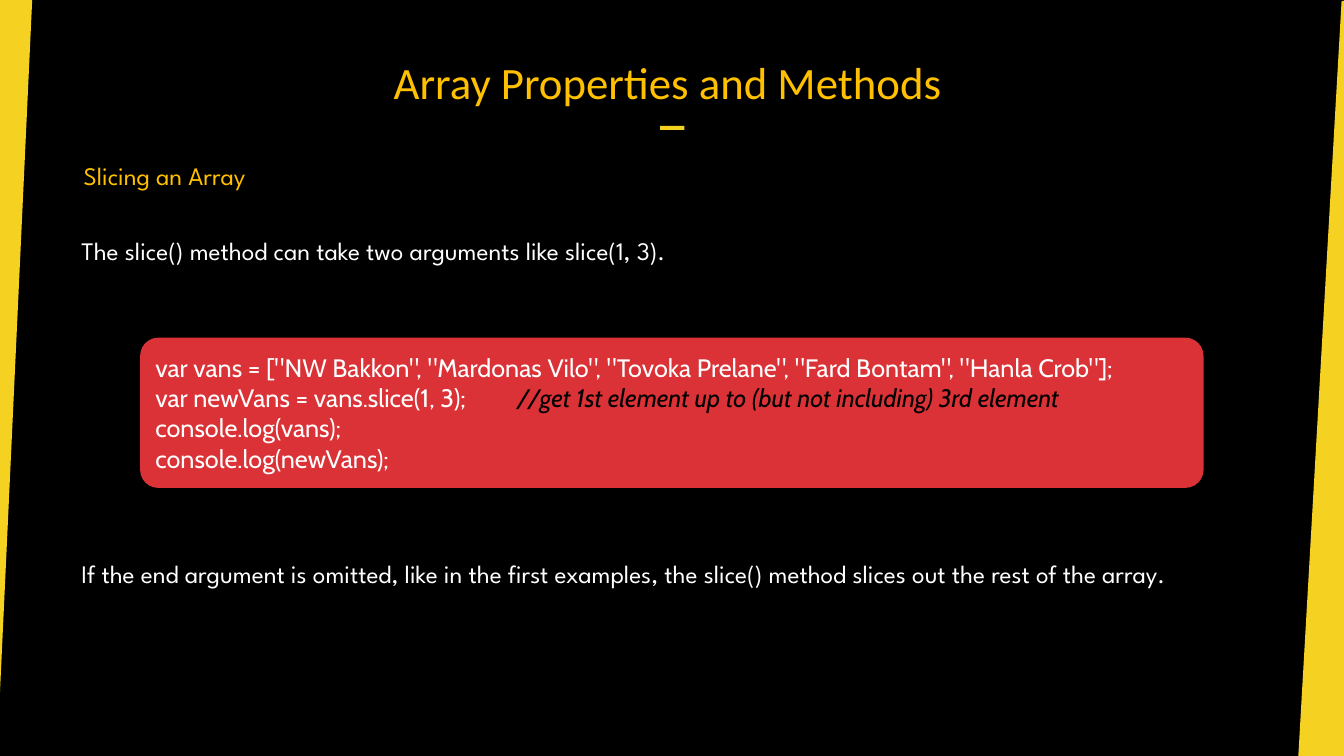
from pptx import Presentation
from pptx.dml.color import RGBColor
from pptx.enum.shapes import MSO_SHAPE as SHAPE
from pptx.enum.text import MSO_ANCHOR as ANCHOR, PP_ALIGN as ALIGN
from pptx.oxml.ns import qn
from pptx.util import Pt
from lxml.etree import SubElement

YELLOW, AMBER, RED = "F5D121", "FFC000", "DA3236"
WHITE, BLACK = "FFFFFF", "000000"


def color(hex_code):
    return RGBColor.from_string(hex_code)


def add_run(p, text, font="League Spartan", size=18, fill=WHITE, italic=False):
    r = p.add_run()
    r.text = text
    r.font.name = font
    r.font.size = Pt(size)
    r.font.italic = italic
    r.font.color.rgb = color(fill)


class Deck:
    def __init__(self, width, height):
        self.prs = Presentation()
        self.prs.slide_width, self.prs.slide_height = Pt(width), Pt(height)
        self.s = self.prs.slides.add_slide(self.prs.slide_layouts[6])
        self.s.background.fill.solid()
        self.s.background.fill.fore_color.rgb = color(BLACK)

    def paint(self, sp, fill):
        sp.shadow.inherit = False
        sp.fill.solid()
        sp.fill.fore_color.rgb = color(fill)
        sp.line.fill.background()
        return sp

    def polygon(self, points, fill):
        start, *rest = [(Pt(x), Pt(y)) for x, y in points]
        builder = self.s.shapes.build_freeform(*start)
        builder.add_line_segments(rest, close=True)
        return self.paint(builder.convert_to_shape(), fill)

    def shape(self, kind, x, y, w, h, fill):
        sp = self.s.shapes.add_shape(kind, Pt(x), Pt(y), Pt(w), Pt(h))
        return self.paint(sp, fill)

    def text(self, text, x, y, w, h, align=ALIGN.LEFT, anchor=ANCHOR.TOP, **fmt):
        tf = self.s.shapes.add_textbox(Pt(x), Pt(y), Pt(w), Pt(h)).text_frame
        tf.word_wrap = True
        tf.vertical_anchor = anchor
        p = tf.paragraphs[0]
        p.alignment = align
        add_run(p, text, **fmt)
        return tf

    def code(self, lines, x, y, w, h, tab):
        sp = self.shape(SHAPE.ROUNDED_RECTANGLE, x, y, w, h, RED)
        sp.adjustments[0] = 0.12
        tf = sp.text_frame
        tf.word_wrap = True
        tf.vertical_anchor = ANCHOR.MIDDLE
        for i, (code, comment) in enumerate(lines):
            p = tf.add_paragraph() if i else tf.paragraphs[0]
            p.alignment = ALIGN.LEFT
            add_run(p, code, font="Cabin")
            if comment:
                tabs = SubElement(p._p.get_or_add_pPr(), qn("a:tabLst"))
                SubElement(tabs, qn("a:tab"), pos=str(Pt(tab)), algn="l")
                add_run(p, "\t" + comment, font="Cabin", fill=BLACK, italic=True)


def main():
    deck = Deck(960, 540)
    deck.polygon([(0, 0), (23, 0), (0, 494)], YELLOW)
    deck.polygon([(958.3, 0.7), (960, 0.7), (960, 540), (927.4, 540)], YELLOW)
    deck.shape(SHAPE.RECTANGLE, 471.6, 90, 17.3, 2.9, YELLOW)

    title = deck.text("Array Properties and Methods", 228.2, 23.8, 497.5, 54,
                      align=ALIGN.CENTER, anchor=ANCHOR.BOTTOM,
                      font="Calibri", size=32, fill=AMBER)
    title.margin_top, title.margin_bottom = Pt(3), Pt(0)

    deck.text("Slicing an Array", 52.6, 110.9, 301.7, 28.8, fill=AMBER)
    deck.code([
        ('var vans = ["NW Bakkon", "Mardonas Vilo", "Tovoka Prelane", '
         '"Fard Bontam", "Hanla Crob"];', ""),
        ("var newVans = vans.slice(1, 3);",
         "//get 1st element up to (but not including) 3rd element"),
        ("console.log(vans);", ""),
        ("console.log(newVans);", ""),
    ], 100.1, 241.2, 759.6, 107.3, tab=258.5)
    deck.text("The slice() method can take two arguments like slice(1, 3).",
              51.1, 164.9, 884.2, 28.8)
    deck.text("If the end argument is omitted, like in the first examples, "
              "the slice() method slices out the rest of the array.",
              51.1, 395.3, 831.6, 51.1)
    deck.prs.save("out.pptx")


if __name__ == "__main__":
    main()
